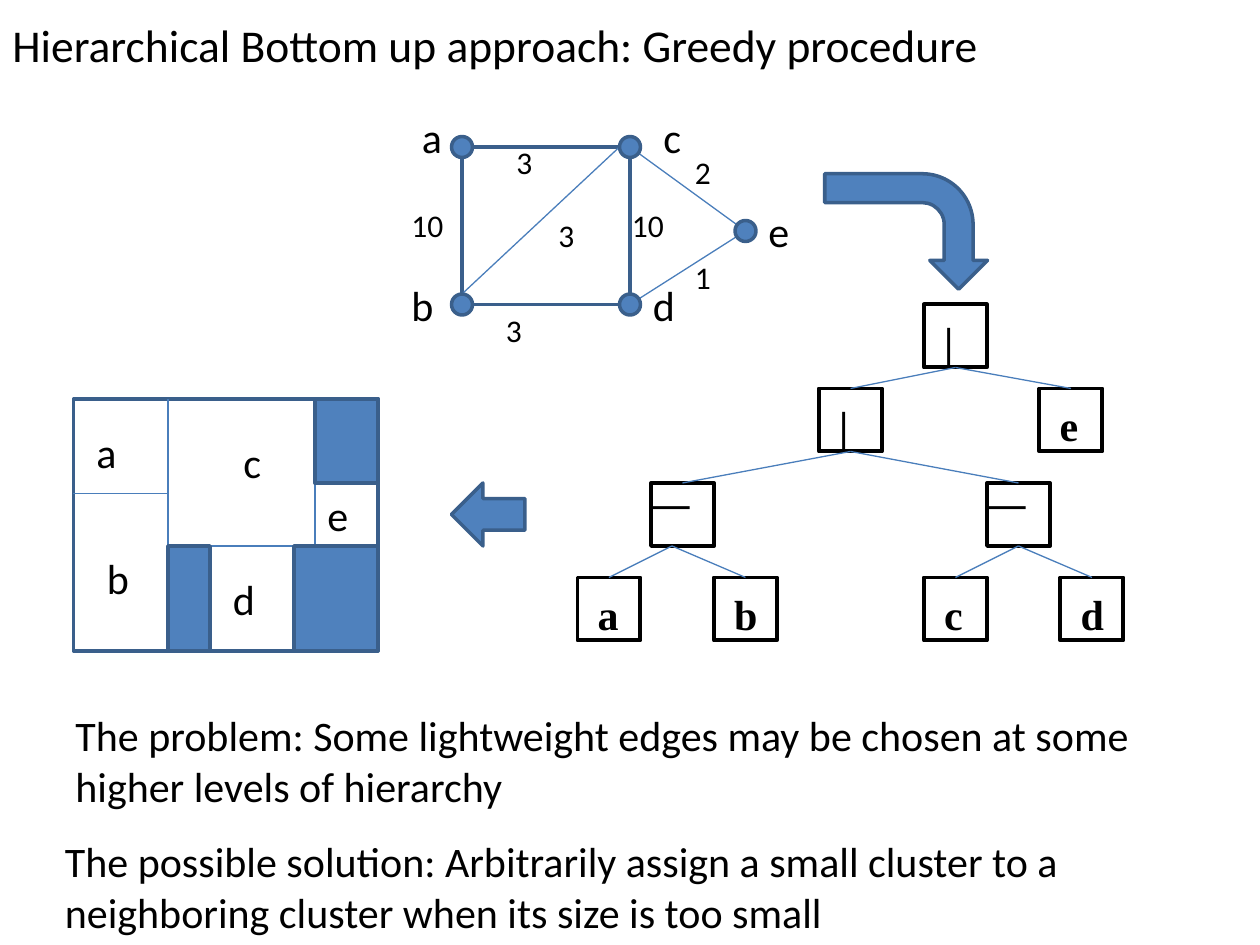
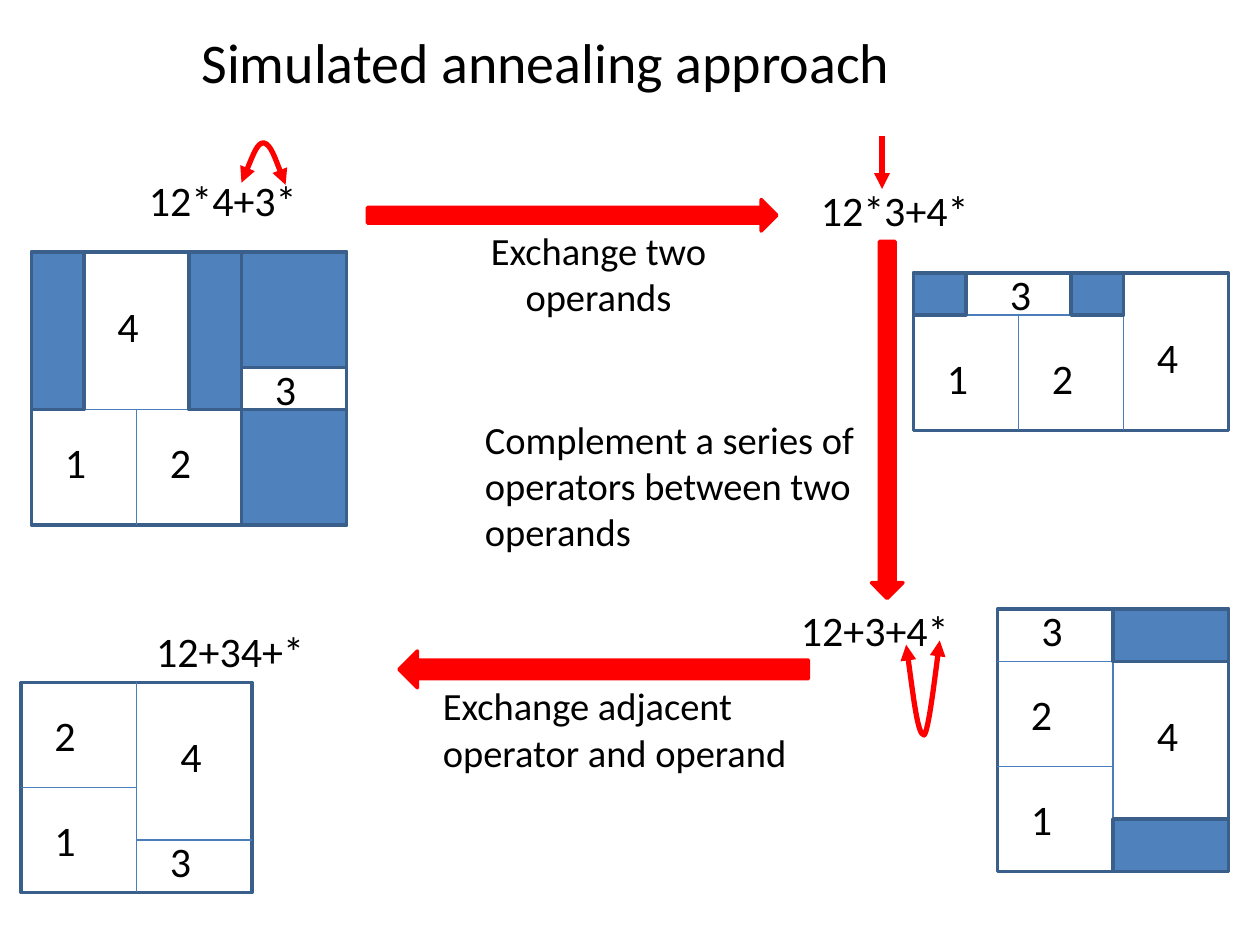
from lxml import etree
from pptx import Presentation
from pptx.dml.color import RGBColor
from pptx.enum.shapes import MSO_CONNECTOR, MSO_SHAPE
from pptx.enum.text import MSO_ANCHOR, PP_ALIGN
from pptx.oxml.ns import qn
from pptx.util import Inches, Pt

BLACK = RGBColor(0, 0, 0)
BLUE = RGBColor(0x4F, 0x81, 0xBD)
NAVY = RGBColor(0x3A, 0x5F, 0x8B)
THIN = RGBColor(0x4A, 0x7E, 0xBB)
RED = RGBColor(0xFF, 0, 0)
RECT, DOT = MSO_SHAPE.RECTANGLE, MSO_SHAPE.OVAL
RIGHT, LEFT = MSO_SHAPE.RIGHT_ARROW, MSO_SHAPE.LEFT_ARROW
DOWN, BENT = MSO_SHAPE.DOWN_ARROW, MSO_SHAPE.BENT_ARROW
STRAIGHT = MSO_CONNECTOR.STRAIGHT
TOP, MID = MSO_ANCHOR.TOP, PP_ALIGN.CENTER
START, CENTER = PP_ALIGN.LEFT, PP_ALIGN.CENTER
GRID = 12


def grid(*units):
    """Turn grid units, twelve to the inch, into lengths."""
    return [Inches(unit / GRID) for unit in units]


def shape(slide, kind, box, fill=None, edge=NAVY, width=2):
    """Add a preset shape, hollow unless a fill is given."""
    item = slide.shapes.add_shape(kind, *grid(*box))
    item.shadow.inherit = False
    if fill is None:
        item.fill.background()
    else:
        item.fill.solid()
        item.fill.fore_color.rgb = fill
    item.line.color.rgb = edge
    item.line.width = Pt(width)
    return item


def line(slide, ends, color=THIN, width=0.75):
    """Add a straight line between two grid points."""
    item = slide.shapes.add_connector(STRAIGHT, *grid(*ends))
    etree.SubElement(item._element.spPr, qn("a:effectLst"))
    item.line.color.rgb = color
    item.line.width = Pt(width)
    return item


def tip(item, *ends):
    """Put triangle heads on the named ends of a line."""
    for end in ends:
        etree.SubElement(item.line._get_or_add_ln(), qn("a:" + end), type="triangle")


def style(para, size, font="Calibri", bold=False):
    """Set the font of a paragraph."""
    para.font.size = Pt(size)
    para.font.name = font
    para.font.bold = bold
    para.font.color.rgb = BLACK


def note(slide, text, x, y, w=6, h=6, size=24, align=START):
    """Add a text box that wraps."""
    frame = slide.shapes.add_textbox(*grid(x, y, w, h)).text_frame
    frame.word_wrap = True
    para = frame.paragraphs[0]
    para.text = text
    para.alignment = align
    style(para, size)


def curve(slide, points):
    """Draw a red Bezier curve with a head at both ends."""
    spots = [grid(*point) for point in points]
    build = slide.shapes.build_freeform(*spots[0])
    build.add_line_segments(spots[1:], close=False)
    item = build.convert_to_shape()
    item.shadow.inherit = False
    item.fill.background()
    item.line.color.rgb = RED
    item.line.width = Pt(3)
    steps = list(item._element.iter(qn("a:lnTo")))
    for first in range(0, len(steps), 3):
        bend = etree.Element(qn("a:cubicBezTo"))
        steps[first].addprevious(bend)
        for step in steps[first:first + 3]:
            bend.append(step[0])
            step.getparent().remove(step)
    tip(item, "headEnd", "tailEnd")


def plan(slide, box, cuts, gaps, rooms):
    """Draw a floorplan with cut lines, filled gaps and named rooms."""
    x, y = box[:2]
    shape(slide, RECT, box)
    for x1, y1, x2, y2 in cuts:
        line(slide, (x + x1, y + y1, x + x2, y + y2))
    for left, top, w, h in gaps:
        shape(slide, RECT, (x + left, y + top, w, h), BLUE)
    for name, left, top in rooms:
        note(slide, name, x + left, y + top)


def graph(slide, x, y):
    """Draw the weighted graph of the five modules."""
    shape(slide, RECT, (x + 6, y + 4, 16, 15))
    for x1, y1, x2, y2 in ((22, 4, 33, 12), (33, 12, 22, 19), (6, 18, 21, 4)):
        line(slide, (x + x1, y + y1, x + x2, y + y2))
    nodes = (("a", 6, 4, 1, 0), ("c", 22, 4, 24, 0), ("b", 6, 19, 0, 16),
             ("d", 22, 19, 23, 16), ("e", 33, 12, 34, 9))
    for name, cx, cy, left, top in nodes:
        shape(slide, DOT, (x + cx - 1, y + cy - 1, 2, 2), BLUE)
        note(slide, name, x + left, y + top)
    costs = (("10", 0, 9), ("3", 14, 10), ("10", 21, 9), ("3", 10, 3),
             ("3", 9, 19), ("2", 27, 4), ("1", 27, 14))
    for cost, left, top in costs:
        note(slide, cost, x + left, y + top, 7, 5, 18)


def tree(slide, x, y):
    """Draw the slicing tree."""
    nodes = (("|", 33, 0, 0), ("|", 23, 8, 0), ("e", 44, 8, 0),
             ("|", 7, 17, 90), ("|", 39, 17, 90), ("a", 0, 26, 0),
             ("b", 13, 26, 0), ("c", 33, 26, 0), ("d", 46, 26, 0))
    for name, left, top, turn in nodes:
        node = shape(slide, RECT, (x + left, y + top, 6, 6), None, BLACK, 2.25)
        node.rotation = turn
        frame = node.text_frame
        frame.vertical_anchor = TOP
        frame.margin_left, frame.margin_top = Inches(0.16), Inches(0.09)
        frame.margin_right = frame.margin_bottom = 0
        para = frame.paragraphs[0]
        para.text = name
        para.alignment = START
        style(para, 24, "Times New Roman", True)
    forks = ((36, 6, 26, 47, 8), (26, 14, 10, 42, 17),
             (42, 23, 36, 49, 26), (9, 23, 3, 16, 26))
    for px, py, *kids, base in forks:
        for kid in kids:
            line(slide, (x + px, y + py, x + kid, y + base))


def greedy(slide):
    """Build the slide on the greedy procedure."""
    graph(slide, 38, 10)
    tree(slide, 55, 29)
    bend = shape(slide, BENT, (80.8, 14.3, 11, 15.5), BLUE)
    bend.rotation = 90
    bend.adjustments[3] = 0.44
    plan(slide, (7, 38, 29, 24),
         ((9, 0, 9, 24), (9, 14, 29, 14), (23, 0, 23, 14), (0, 9, 9, 9)),
         ((21, 14, 8, 10), (9, 14, 4, 10), (23, 0, 6, 8)),
         (("a", 1, 2), ("c", 15, 3), ("b", 2, 14), ("d", 14, 16), ("e", 23, 8)))
    shape(slide, LEFT, (43, 46, 7, 6), BLUE)
    note(slide, "Hierarchical Bottom up approach: Greedy procedure",
         0, 1, 118, 6.4, 26)
    note(slide, "The problem: Some lightweight edges may be chosen at some "
         "higher levels of hierarchy", 6, 67, 106, 11)
    note(slide, "The possible solution: Arbitrarily assign a small cluster to a "
         "neighboring cluster when its size is too small", 5, 79, 112, 11)


def plans(slide):
    """Draw the four floorplans of the annealing steps."""
    plan(slide, (3, 24, 30, 26),
         ((10, 15, 10, 26), (1, 15, 20, 15)),
         ((20, 15, 10, 11), (0, 0, 5, 15), (15, 0, 5, 15), (20, 0, 10, 11)),
         (("1", 2, 17), ("2", 12, 17), ("4", 7, 4), ("3", 22, 10)))
    plan(slide, (87, 26, 30, 15),
         ((10, 4, 10, 15), (1, 4, 20, 4), (20, 4, 20, 15)),
         ((0, 0, 5, 4), (15, 0, 5, 4)),
         (("1", 2, 7), ("2", 12, 7), ("4", 22, 5), ("3", 8, -1)))
    plan(slide, (95, 58, 22, 25),
         ((11, 5, 11, 20), (0, 5, 11, 5), (0, 15, 11, 15)),
         ((11, 0, 11, 5), (11, 20, 11, 5)),
         (("1", 2, 17), ("2", 2, 7), ("4", 14, 9), ("3", 3, -1)))
    plan(slide, (2, 65, 22, 20),
         ((11, 0, 11, 20), (11, 15, 22, 15), (0, 10, 11, 10)), (),
         (("1", 2, 12), ("2", 2, 2), ("4", 14, 4), ("3", 13, 14)))


def moves(slide):
    """Draw the expressions and the moves between them."""
    for text, x, y in (("12*4+3*", 13, 16), ("12*3+4*", 77, 17),
                       ("12+3+4*", 75.1, 57), ("12+34+*", 13.7, 59)):
        note(slide, text, x, y, 24)
    for kind, box in ((RIGHT, (35, 19, 39, 3)), (DOWN, (83, 23, 3, 34)),
                      (LEFT, (38, 62, 39, 3.5))):
        shape(slide, kind, box, RED, RED)
    note(slide, "Exchange two operands", 43, 21, 28, 10, 22, CENTER)
    note(slide, "Complement a series of operators between two operands",
         45, 39, 38, 19, 22)
    note(slide, "Exchange adjacent operator and operand",
         41, 64.4, 38, 14.4, 22)
    tip(line(slide, (84, 13, 84, 18), RED, 3), "tailEnd")
    curve(slide, ((23, 17.4), (23.8, 15.5), (24.5, 13.6), (25.1, 13.6),
                  (25.8, 13.7), (27.2, 17.6), (27.2, 17.6)))
    curve(slide, ((86.3, 61.4), (86.9, 65.6), (87.4, 70), (88, 70),
                  (88.4, 69.8), (89.5, 61), (89.5, 61)))


def anneal(slide):
    """Build the slide on simulated annealing."""
    plans(slide)
    moves(slide)
    note(slide, "Simulated annealing approach", 18, 2, 94, 7.6, 32)


def main():
    """Build and save the deck."""
    deck = Presentation()
    deck.slide_width, deck.slide_height = Inches(10), Inches(7.5)
    for build in (greedy, anneal):
        build(deck.slides.add_slide(deck.slide_layouts[6]))
    deck.save("out.pptx")


if __name__ == "__main__":
    main()
